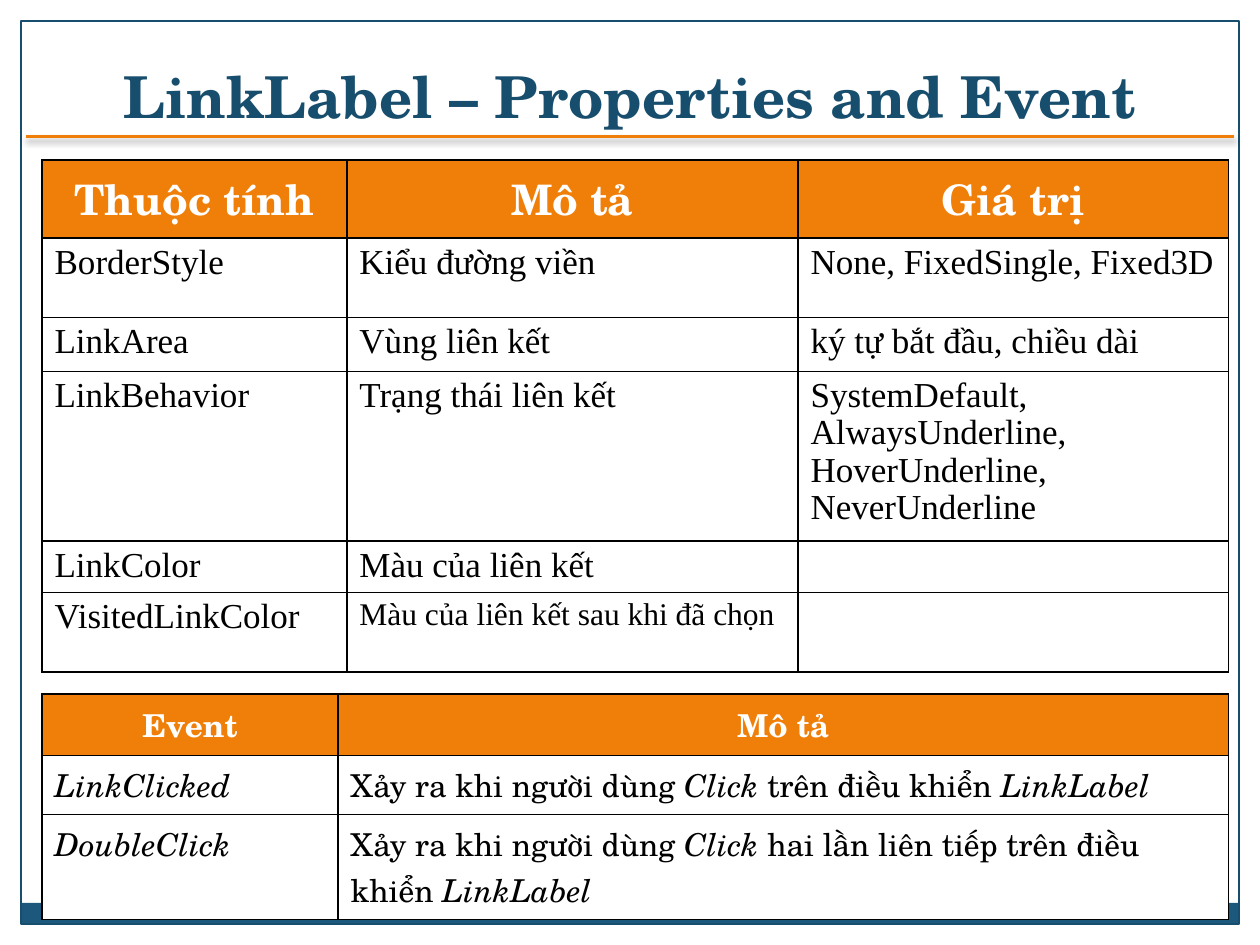
from dataclasses import dataclass

from lxml import etree
from pptx import Presentation
from pptx import util as u
from pptx.dml.color import RGBColor
from pptx.enum import shapes, text
from pptx.oxml import parse_xml
from pptx.oxml.ns import nsdecls, qn

NAVY = RGBColor(0x18, 0x4E, 0x6D)
BLUE = RGBColor(0x1B, 0x58, 0x7C)
ORANGE = RGBColor(0xF0, 0x7F, 0x09)
WHITE = RGBColor(0xFF, 0xFF, 0xFF)
BLACK = RGBColor(0, 0, 0)
SCHOLA = "TeX Gyre Schola"
TIMES = "Times New Roman"


@dataclass
class Grid:
    top: float
    cols: list[float]
    heights: list[float]
    rows: list[list[str]]  # text between asterisks is italic
    head_size: float
    body_font: str
    body_size: float
    spacing: float


PROPERTIES = Grid(
    91.5, [174.2, 257.8, 246], [44.5, 45.5, 30.7, 97, 29.3, 45.6],
    [["Thuộc tính", "Mô tả", "Giá trị"],
     ["BorderStyle", "Kiểu đường viền", "None, FixedSingle, Fixed3D"],
     ["LinkArea", "Vùng liên kết", "ký tự bắt đầu, chiều dài"],
     ["LinkBehavior", "Trạng thái liên kết",
      "SystemDefault, AlwaysUnderline, HoverUnderline, NeverUnderline"],
     ["LinkColor", "Màu của liên kết", ""],
     ["VisitedLinkColor", "Màu của liên kết sau khi đã chọn", ""]],
    24, TIMES, 20, 0.96)
EVENTS = Grid(
    396.7, [169.2, 508.8], [34.8, 33.7, 60],
    [["Event", "Mô tả"],
     ["*LinkClicked*",
      "Xảy ra khi người dùng *Click *trên điều khiển *LinkLabel*"],
     ["*DoubleClick*",
      "Xảy ra khi người dùng *Click *hai lần liên tiếp trên điều khiển *LinkLabel*"]],
    18, SCHOLA, 18, 1.0)
SMALLER = {"Màu của liên kết sau khi đã chọn": 18}


def set_font(font, color: RGBColor, **fmt) -> None:
    for name, value in fmt.items():
        setattr(font, name, value)
    font.color.rgb = color


def add_border(cell) -> None:
    tc_pr = cell._tc.get_or_add_tcPr()
    for side in ("lnL", "lnR", "lnT", "lnB"):
        tc_pr.append(parse_xml(
            f'<a:{side} {nsdecls("a")} w="12700"><a:solidFill>'
            f'<a:srgbClr val="{BLACK}"/></a:solidFill></a:{side}>'))


def fill_cell(cell, content: str, grid: Grid, head: bool) -> None:
    add_border(cell)
    cell.fill.solid()
    cell.fill.fore_color.rgb = ORANGE if head else WHITE
    p = cell.text_frame.paragraphs[0]
    if head:
        cell.vertical_anchor = text.MSO_ANCHOR.MIDDLE
        p.alignment = text.PP_ALIGN.CENTER
    else:
        p.line_spacing = grid.spacing
    size = grid.head_size if head else SMALLER.get(content, grid.body_size)
    for i, part in enumerate(content.split("*")):
        if part:
            r = p.add_run()
            r.text = part
            set_font(r.font, WHITE if head else BLACK, size=u.Pt(size), bold=head,
                     italic=i % 2 == 1, name=SCHOLA if head else grid.body_font)


def add_grid(slide, grid: Grid) -> None:
    table = slide.shapes.add_table(
        len(grid.rows), len(grid.cols), u.Pt(24), u.Pt(grid.top),
        u.Pt(sum(grid.cols)), u.Pt(sum(grid.heights))).table
    for col, width in zip(table.columns, grid.cols):
        col.width = u.Pt(width)
    for row, height, contents in zip(table.rows, grid.heights, grid.rows):
        row.height = u.Pt(height)
        for cell, content in zip(row.cells, contents):
            fill_cell(cell, content, grid, head=contents is grid.rows[0])


def add_box(slide, left: float, top: float, width: float, height: float):
    sp = slide.shapes.add_shape(shapes.MSO_SHAPE.RECTANGLE, u.Pt(left), u.Pt(top),
                                u.Pt(width), u.Pt(height))
    sp.shadow.inherit = False
    return sp


def add_rule(slide) -> None:
    line = slide.shapes.add_connector(shapes.MSO_CONNECTOR.STRAIGHT, u.Pt(15),
                                      u.Pt(78), u.Pt(705), u.Pt(78))
    line.line.color.rgb = ORANGE
    line.line.width = u.Pt(2.25)
    effects = etree.SubElement(line._element.spPr, qn("a:effectLst"))
    effects.append(parse_xml(
        f'<a:outerShdw {nsdecls("a")} blurRad="{u.Pt(4)}" dist="{u.Pt(2)}" '
        'dir="5400000" rotWithShape="0"><a:srgbClr val="000000">'
        '<a:alpha val="45000"/></a:srgbClr></a:outerShdw>'))


def main() -> None:
    prs = Presentation()
    prs.slide_width, prs.slide_height = u.Pt(720), u.Pt(540)
    s = prs.slides.add_slide(prs.slide_layouts[5])

    # Bottom band and page frame
    band = add_box(s, 12, 516, 696, 12)
    band.fill.solid()
    band.fill.fore_color.rgb = BLUE
    band.line.fill.background()
    frame = add_box(s, 12, 12, 696, 516)
    frame.fill.background()
    frame.line.color.rgb = NAVY
    frame.line.width = u.Pt(0.75)

    # Title and rule
    add_rule(s)
    title = s.shapes.title
    title.left, title.top, title.width, title.height = map(u.Pt, (24, 18, 672, 60))
    tf = title.text_frame
    tf.vertical_anchor = text.MSO_ANCHOR.BOTTOM
    tf.text = "LinkLabel – Properties and Event"
    p = tf.paragraphs[0]
    p.alignment = text.PP_ALIGN.CENTER
    set_font(p.runs[0].font, NAVY, name=SCHOLA, size=u.Pt(33), bold=True)

    # Tables
    for grid in (PROPERTIES, EVENTS):
        add_grid(s, grid)
    prs.save("out.pptx")


if __name__ == "__main__":
    main()
